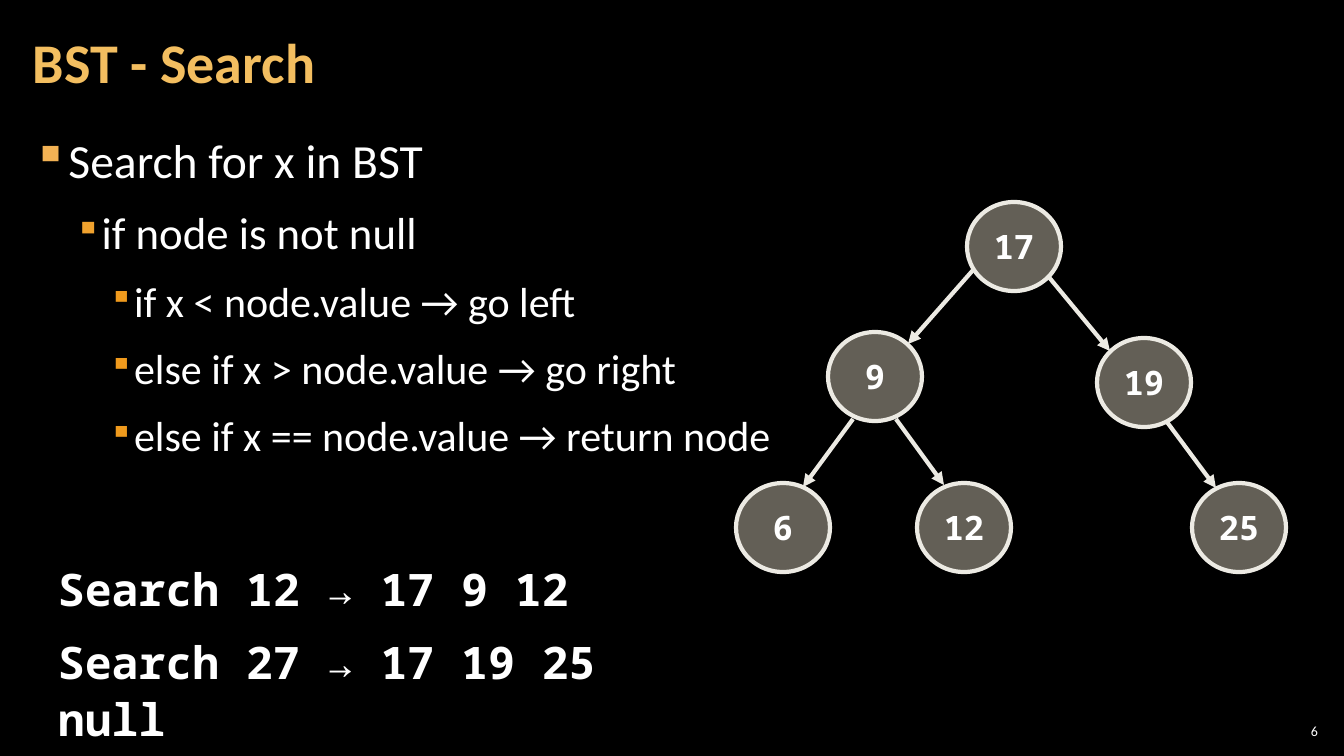
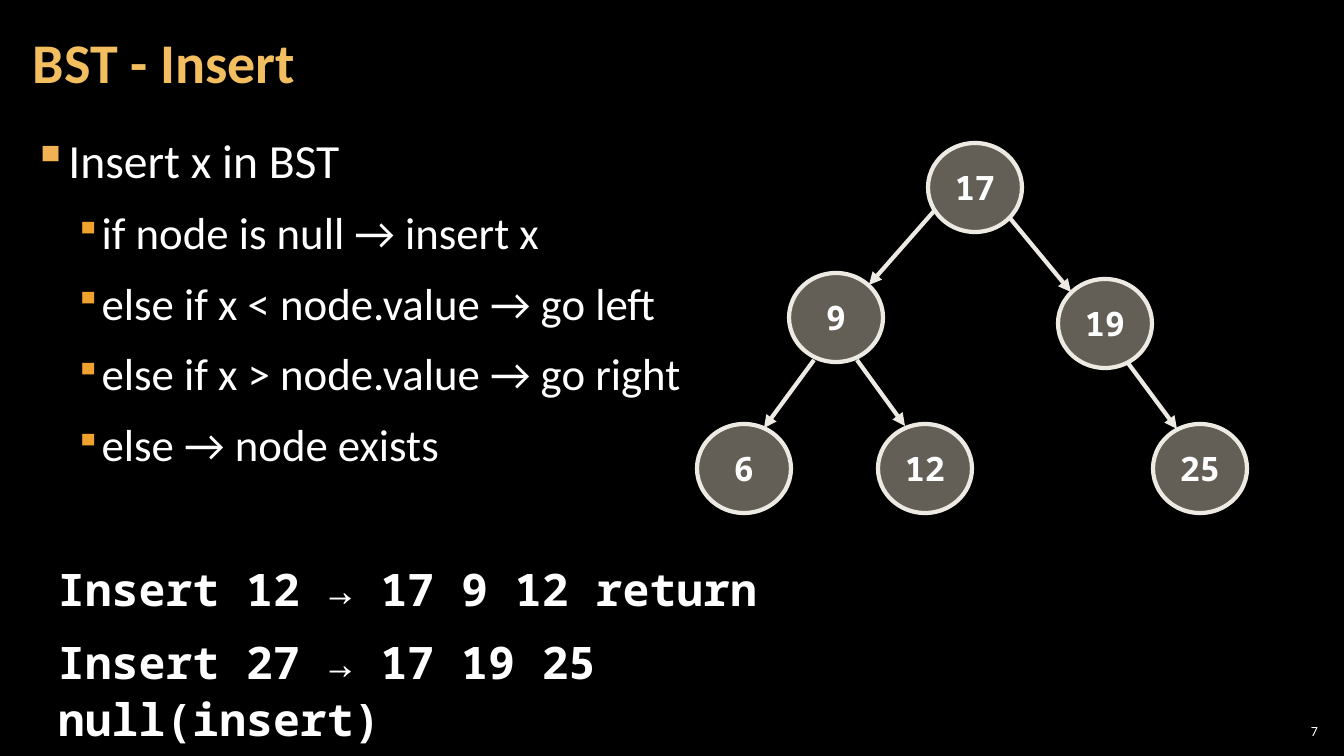
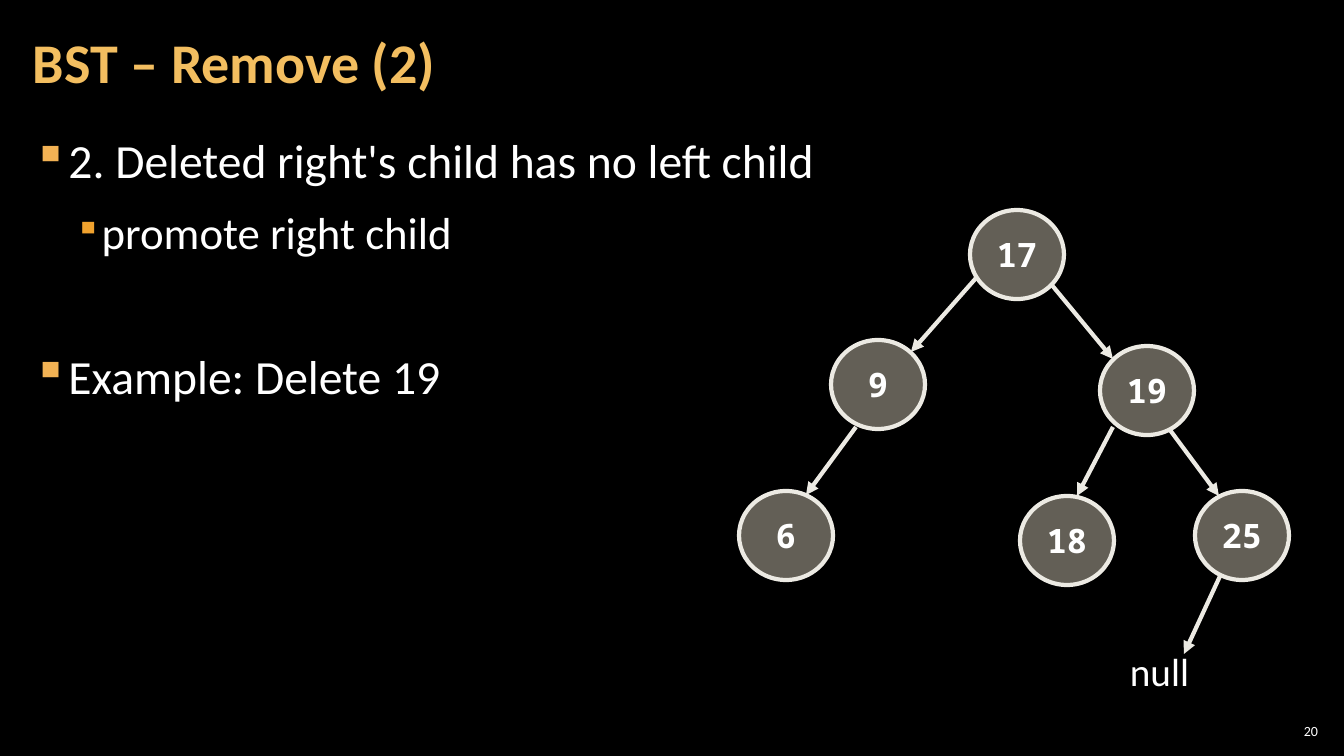
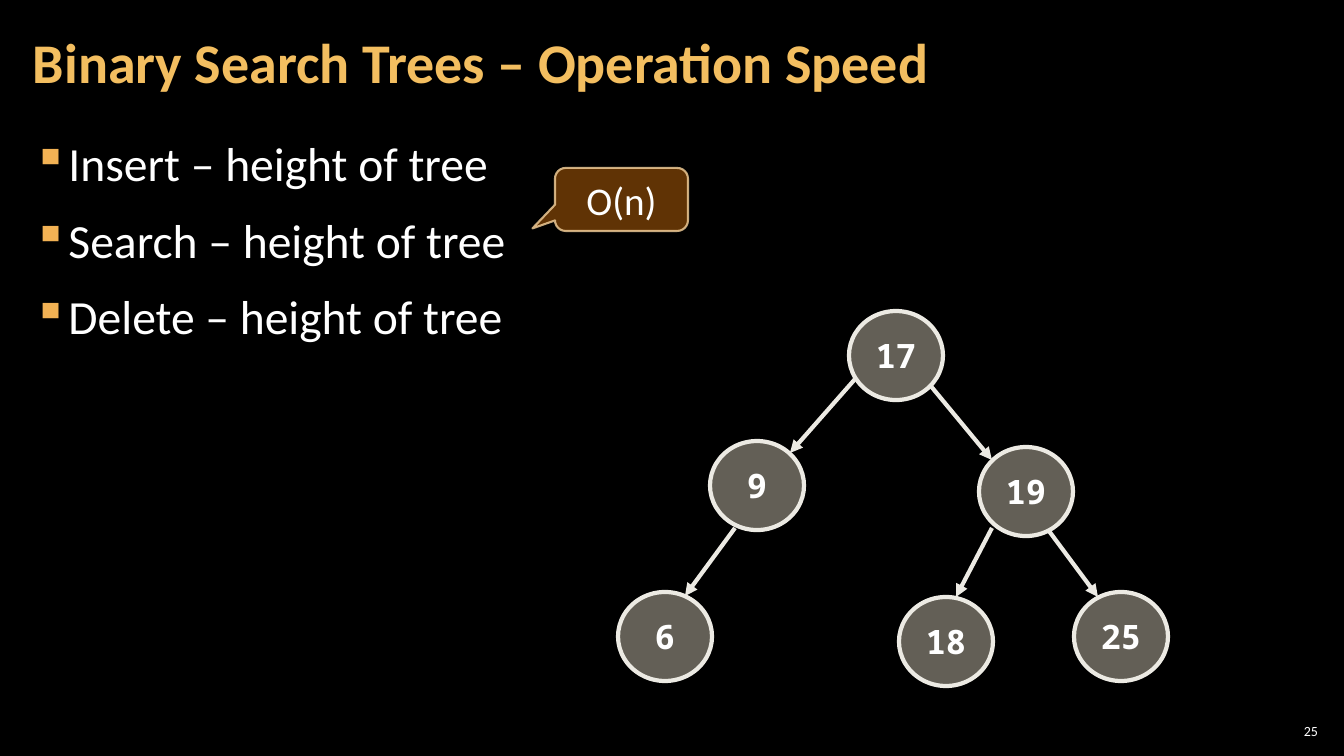
from lxml import etree
from pptx import Presentation
from pptx import util as u
from pptx.dml.color import RGBColor
from pptx.enum import shapes, text
from pptx.oxml import ns

SCALE = 914400 / 100.8
SANS, MONO = "Calibri", "Noto Sans Mono"
BLACK, WHITE, GOLD = "000000", "FFFFFF", "F3BE60"
NODE, EDGE = "C7BFAC", "ECEAE3"
BROWN, SAND = "663606", "F8D49E"
LEVELS = [(34, 33, -33, "F2B254", 100),
          (32, 67, -25, "F0A22E", 80),
          (30, 101, -25, "EF9A1D", 80)]
NODES = {"17": (0, 0), "19": (130, 136), "9": (-139, 130), "6": (-231, 281),
         "12": (-50, 281), "18": (50, 286), "25": (225, 281)}
EDGES = {"9": (7, 67, -59, 142), "19": (81, 74, 143, 149),
         "6": (-114, 217, -164, 285), "12": (-71, 217, -23, 283),
         "18": (143, 217, 107, 286), "25": (200, 220, 249, 286)}


def px(n):
    return u.Emu(round(n * SCALE))


def color(code):
    return RGBColor.from_string(code)


def sub(parent, tag, **attrs):
    return etree.SubElement(parent, ns.qn(tag), attrs)


class Deck:
    """Holds the shared style and the current slide."""

    def __init__(self):
        self.prs = Presentation()
        self.prs.slide_width, self.prs.slide_height = px(1344), px(756)
        self.paint(self.prs.slide_master.background, BLACK)
        self.slide = None

    def paint(self, item, code, alpha=None):
        item.fill.solid()
        item.fill.fore_color.rgb = color(code)
        if alpha:
            self.fade(item, "./a:solidFill/a:srgbClr", alpha)

    def fade(self, shape, query, alpha):
        for mark in shape._element.spPr.xpath(query):
            sub(mark, "a:alpha", val=str(alpha * 1000))

    def stroke(self, item, code, width):
        item.line.color.rgb = color(code)
        item.line.width = u.Pt(width)

    def run(self, para, words, size, font=SANS, code=WHITE, bold=False):
        run = para.add_run()
        run.text = words
        run.font.size, run.font.name, run.font.bold = u.Pt(size), font, bold
        run.font.color.rgb = color(code)

    def frame(self, shape, inset=(10, 5), mid=False, wrap=True):
        frame = shape.text_frame
        frame.auto_size = text.MSO_AUTO_SIZE.NONE
        frame.word_wrap = wrap
        frame.margin_left = frame.margin_right = px(inset[0])
        frame.margin_top = frame.margin_bottom = px(inset[1])
        anchor = text.MSO_ANCHOR
        frame.vertical_anchor = anchor.MIDDLE if mid else anchor.TOP
        return frame

    def box(self, x, y, w, h, **style):
        shape = self.slide.shapes.add_textbox(px(x), px(y), px(w), px(h))
        return self.frame(shape, **style)

    def space(self, para, lines, before=6):
        para.line_spacing = lines
        para.space_before, para.space_after = u.Pt(before), u.Pt(6)

    def page(self, title, number):
        layout = self.prs.slide_layouts[5]
        self.slide = self.prs.slides.add_slide(layout)
        head = self.slide.shapes.title
        head.left, head.top, head.width, head.height = map(px, (21, 4, 1055, 122))
        para = self.frame(head, (12, 4), mid=True).paragraphs[0]
        para.alignment = text.PP_ALIGN.LEFT
        para.line_spacing = 0.9
        self.run(para, title, 40, code=GOLD, bold=True)
        para = self.box(1275, 720, 47, 21, inset=(4, 4), mid=True).paragraphs[0]
        para.alignment = text.PP_ALIGN.RIGHT
        self.run(para, str(number), 10)

    def body(self, items, lines=1.0):
        frame = self.box(21, 127, 1301, 614, inset=(12, 4))
        for i, (level, words, *before) in enumerate(items):
            para = frame.add_paragraph() if i else frame.paragraphs[0]
            size, left, hang, code, ratio = LEVELS[level]
            para.level = level
            self.space(para, lines, *before)
            props = para._p.get_or_add_pPr()
            props.set("marL", str(px(left)))
            props.set("indent", str(px(hang)))
            sub(sub(props, "a:buClr"), "a:srgbClr", val=code)
            sub(props, "a:buSzPct", val=str(ratio * 1000))
            sub(props, "a:buChar", char="▪")
            self.run(para, words, size)

    def code(self, width, rows):
        frame = self.box(48, 554, width, 141)
        frame.auto_size = text.MSO_AUTO_SIZE.SHAPE_TO_FIT_TEXT
        for i, words in enumerate(rows):
            para = frame.add_paragraph() if i else frame.paragraphs[0]
            self.space(para, 1.05)
            self.run(para, words, 32, MONO, bold=True)

    def label(self, x, y, w, h, words):
        frame = self.box(x, y, w, h, wrap=False)
        self.run(frame.paragraphs[0], words, 28)

    def shape(self, kind, x, y, w, h):
        shape = self.slide.shapes.add_shape(kind, px(x), px(y), px(w), px(h))
        shape.shadow.inherit = False
        return shape

    def node(self, x, y, words):
        oval = self.shape(shapes.MSO_SHAPE.OVAL, x, y, 94, 89)
        self.paint(oval, NODE, 50)
        self.stroke(oval, EDGE, 3)
        para = self.frame(oval, mid=True, wrap=False).paragraphs[0]
        para.alignment = text.PP_ALIGN.CENTER
        self.run(para, words, 24, MONO, bold=True)

    def arrow(self, *ends):
        line = self.slide.shapes.add_connector(
            shapes.MSO_CONNECTOR.STRAIGHT, *map(px, ends))
        self.stroke(line, EDGE, 3)
        sub(line.line._get_or_add_ln(), "a:tailEnd", type="triangle")
        sub(line._element.spPr, "a:effectLst")

    def tree(self, x, y, keys):
        for key in keys:
            dx, dy = NODES[key]
            self.node(x + dx, y + dy, key)
        for key in keys[1:]:
            x1, y1, x2, y2 = EDGES[key]
            self.arrow(x + x1, y + y1, x + x2, y + y2)

    def bubble(self, x, y, w, h, words):
        kind = shapes.MSO_SHAPE.ROUNDED_RECTANGULAR_CALLOUT
        shape = self.shape(kind, x, y, w, h)
        for i, value in enumerate((-0.67, 0.46, 0.17)):
            shape.adjustments[i] = value
        self.paint(shape, BROWN, 95)
        self.stroke(shape, SAND, 1.5)
        self.fade(shape, "./a:ln/a:solidFill/a:srgbClr", 80)
        para = self.frame(shape, mid=True).paragraphs[0]
        para.alignment = text.PP_ALIGN.CENTER
        self.run(para, words, 28)


FULL = ["17", "19", "9", "6", "12", "25"]
PRUNED = ["17", "19", "9", "6", "18", "25"]
deck = Deck()

deck.page("BST - Search", 6)
deck.body([(0, "Search for x in BST"),
           (1, "if node is not null"),
           (2, "if x < node.value → go left"),
           (2, "else if x > node.value → go right"),
           (2, "else if x == node.value → return node")])
deck.tree(967, 202, FULL)
deck.code(691, ["Search 12 → 17 9 12", "Search 27 → 17 19 25 null"])

deck.page("BST - Insert", 7)
deck.body([(0, "Insert x in BST"),
           (1, "if node is null → insert x"),
           (1, "else if x < node.value → go left"),
           (1, "else if x > node.value → go right"),
           (1, "else → node exists")])
deck.tree(928, 143, FULL)
deck.code(901, ["Insert 12 → 17 9 12 return",
                "Insert 27 → 17 19 25 null(insert)"])

deck.page("BST – Remove (2)", 20)
deck.body([(0, "2. Deleted right's child has no left child"),
           (1, "promote right child"),
           (0, "Example: Delete 19", 57)])
deck.arrow(1221, 574, 1184, 654)
deck.label(1120, 642, 80, 57, "null")
deck.tree(970, 210, PRUNED)

deck.page("Binary Search Trees – Operation Speed", 25)
deck.body([(0, f"{name} – height of tree")
           for name in ("Insert", "Search", "Delete")], 1.05)
deck.tree(849, 311, PRUNED)
deck.bubble(555, 168, 133, 63, "O(n)")

deck.prs.save("out.pptx")
